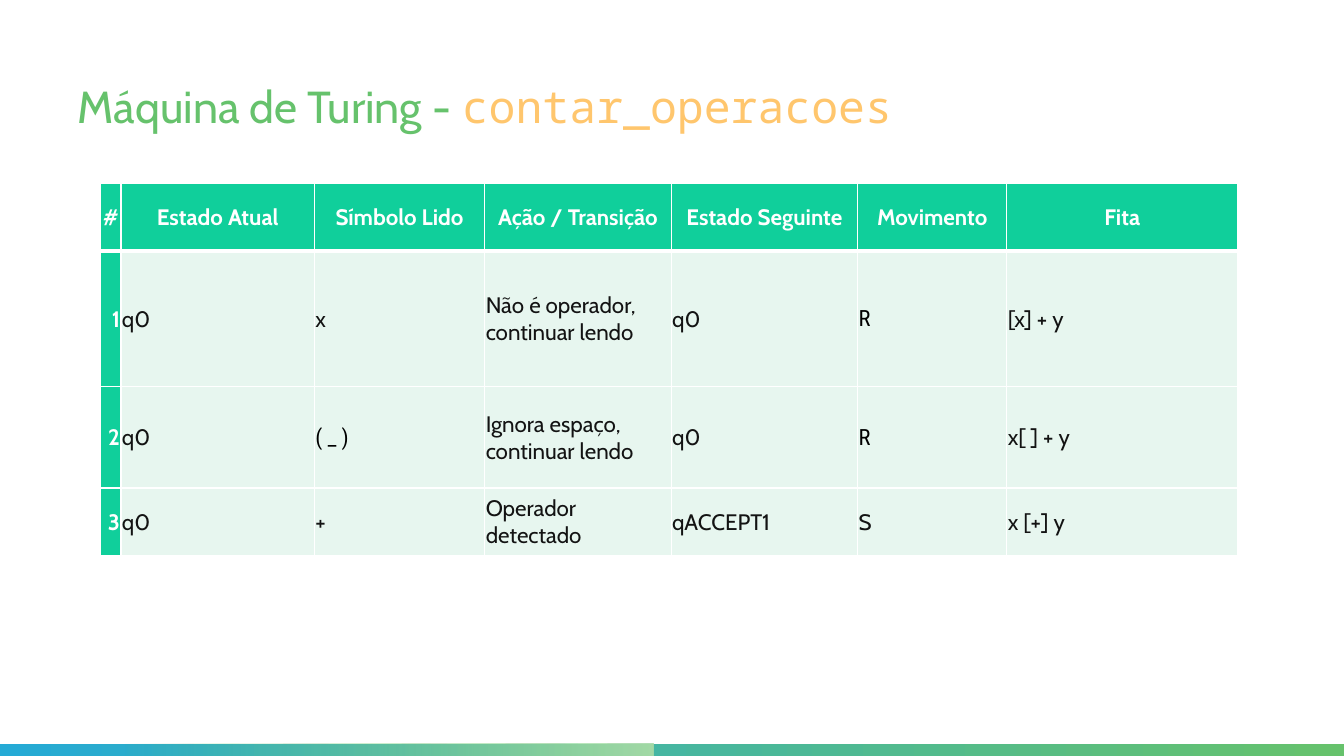
from dataclasses import dataclass

from lxml import etree
from pptx import Presentation
from pptx.dml.color import RGBColor
from pptx.enum.shapes import MSO_SHAPE
from pptx.enum.text import MSO_ANCHOR, PP_ALIGN
from pptx.oxml.ns import qn
from pptx.util import Pt

RECTANGLE = MSO_SHAPE.RECTANGLE
MIDDLE, BOTTOM = MSO_ANCHOR.MIDDLE, MSO_ANCHOR.BOTTOM
LEFT, CENTER, RIGHT = PP_ALIGN.LEFT, PP_ALIGN.CENTER, PP_ALIGN.RIGHT


@dataclass(frozen=True)
class Theme:
    white: str = "FFFFFF"
    black: str = "000000"
    ink: str = "131313"
    green: str = "66C26C"
    pale_green: str = "A3DAA7"
    blue: str = "25AAD5"
    amber: str = "FFC66D"
    header: str = "10CF9B"
    body: str = "E7F6EF"
    sans: str = "Cabin"
    mono: str = "Noto Sans Mono"
    condensed: str = "Roboto Condensed"
    title_size: float = 32
    table_size: float = 16
    thin_rule: float = 1
    thick_rule: float = 3


THEME = Theme()


@dataclass(frozen=True)
class Span:
    text: str
    color: str = THEME.ink
    font: str = THEME.sans
    bold: bool = False


@dataclass(frozen=True)
class Stop:
    position: float
    color: str
    opacity: int = 100


@dataclass(frozen=True)
class Bar:
    top: float
    width: float
    stops: tuple[Stop, Stop]


def condensed(text: str) -> Span:
    return Span(text, THEME.black, THEME.condensed)


BARS = (
    Bar(531.36, 961.2, (Stop(0, THEME.blue), Stop(1, THEME.green))),
    Bar(531, 466.56, (Stop(0.19, THEME.green, 0), Stop(1, THEME.pale_green))),
)
TITLE = (
    Span("Máquina de Turing - ", THEME.green),
    Span("contar_operacoes", THEME.amber, THEME.mono),
)
HEADINGS = ("#", "Estado Atual", "Símbolo Lido", "Ação / Transição",
            "Estado Seguinte", "Movimento", "Fita")
TRANSITIONS = (
    (Span("q0"), Span("x"), Span("Não é operador, continuar lendo"),
     Span("q0"), condensed("R"), Span("[x] + y")),
    (Span("q0"), condensed("( _ )"), Span("Ignora espaço, continuar lendo"),
     Span("q0"), condensed("R"), Span("x[ ] + y")),
    (Span("q0"), Span("+"), Span("Operador detectado"),
     Span("qACCEPT1"), Span("S"), Span("x [+] y")),
)
COLUMN_WIDTHS = (14.4, 138.2, 121.7, 133.2, 133.2, 106.6, 164.9)
ROW_HEIGHTS = (48.2, 96.5, 72.7, 48.2)


def add_span(para, span: Span, size: float) -> None:
    run = para.add_run()
    run.text = span.text
    run.font.name = span.font
    run.font.size = Pt(size)
    run.font.bold = span.bold
    run.font.color.rgb = RGBColor.from_string(span.color)


def add_bar(page, bar: Bar) -> None:
    shape = page.shapes.add_shape(RECTANGLE, 0, Pt(bar.top), Pt(bar.width), Pt(9.36))
    shape.shadow.inherit = False
    shape.line.fill.background()
    shape.fill.gradient()
    shape.fill.gradient_angle = 0
    for target, stop in zip(shape.fill.gradient_stops, bar.stops):
        target.position = stop.position
        target.color.rgb = RGBColor.from_string(stop.color)
    for color, stop in zip(shape.element.spPr.iter(qn("a:srgbClr")), bar.stops):
        if stop.opacity < 100:
            etree.SubElement(color, qn("a:alpha"), val=str(stop.opacity * 1000))


def add_title(page) -> None:
    box = page.shapes.add_textbox(Pt(48.24), Pt(36), Pt(862.56), Pt(62.64))
    box.text_frame.word_wrap = True
    box.text_frame.vertical_anchor = BOTTOM
    para = box.text_frame.paragraphs[0]
    para.line_spacing = 0.9
    for span in TITLE:
        add_span(para, span, THEME.title_size)


def add_borders(cell, top: float, bottom: float) -> None:
    properties = cell._tc.get_or_add_tcPr()
    thin = THEME.thin_rule
    for side, width in (("L", thin), ("R", thin), ("T", top), ("B", bottom)):
        line = etree.SubElement(properties, qn(f"a:ln{side}"), w=str(Pt(width)))
        fill = etree.SubElement(line, qn("a:solidFill"))
        etree.SubElement(fill, qn("a:srgbClr"), val=THEME.white)


def fill_cell(cell, span: Span, row: int, column: int) -> None:
    add_borders(
        cell,
        top=THEME.thick_rule if row == 1 else THEME.thin_rule,
        bottom=THEME.thick_rule if row == 0 else THEME.thin_rule,
    )
    is_heading = row == 0 or column == 0
    cell.fill.solid()
    cell.fill.fore_color.rgb = RGBColor.from_string(
        THEME.header if is_heading else THEME.body)
    cell.margin_left = cell.margin_right = cell.margin_top = Pt(0.72)
    cell.margin_bottom = 0
    cell.vertical_anchor = MIDDLE
    para = cell.text_frame.paragraphs[0]
    para.alignment = CENTER if row == 0 else RIGHT if column == 0 else LEFT
    add_span(para, span, THEME.table_size)


def add_transition_table(page) -> None:
    table = page.shapes.add_table(
        len(ROW_HEIGHTS), len(COLUMN_WIDTHS), Pt(72), Pt(131.2),
        Pt(sum(COLUMN_WIDTHS)), Pt(sum(ROW_HEIGHTS))).table
    table.horz_banding = False
    for column, width in zip(table.columns, COLUMN_WIDTHS):
        column.width = Pt(width)
    for row, height in zip(table.rows, ROW_HEIGHTS):
        row.height = Pt(height)
    rows = [[Span(text, THEME.white, bold=True) for text in HEADINGS]]
    for number, spans in enumerate(TRANSITIONS, start=1):
        rows.append([Span(str(number), THEME.white, bold=True), *spans])
    for row, spans in enumerate(rows):
        for column, span in enumerate(spans):
            fill_cell(table.cell(row, column), span, row, column)


def main() -> None:
    deck = Presentation()
    deck.slide_width, deck.slide_height = Pt(960), Pt(540)
    page = deck.slides.add_slide(deck.slide_layouts[6])
    for bar in BARS:
        add_bar(page, bar)
    add_title(page)
    add_transition_table(page)
    deck.save("out.pptx")


if __name__ == "__main__":
    main()
